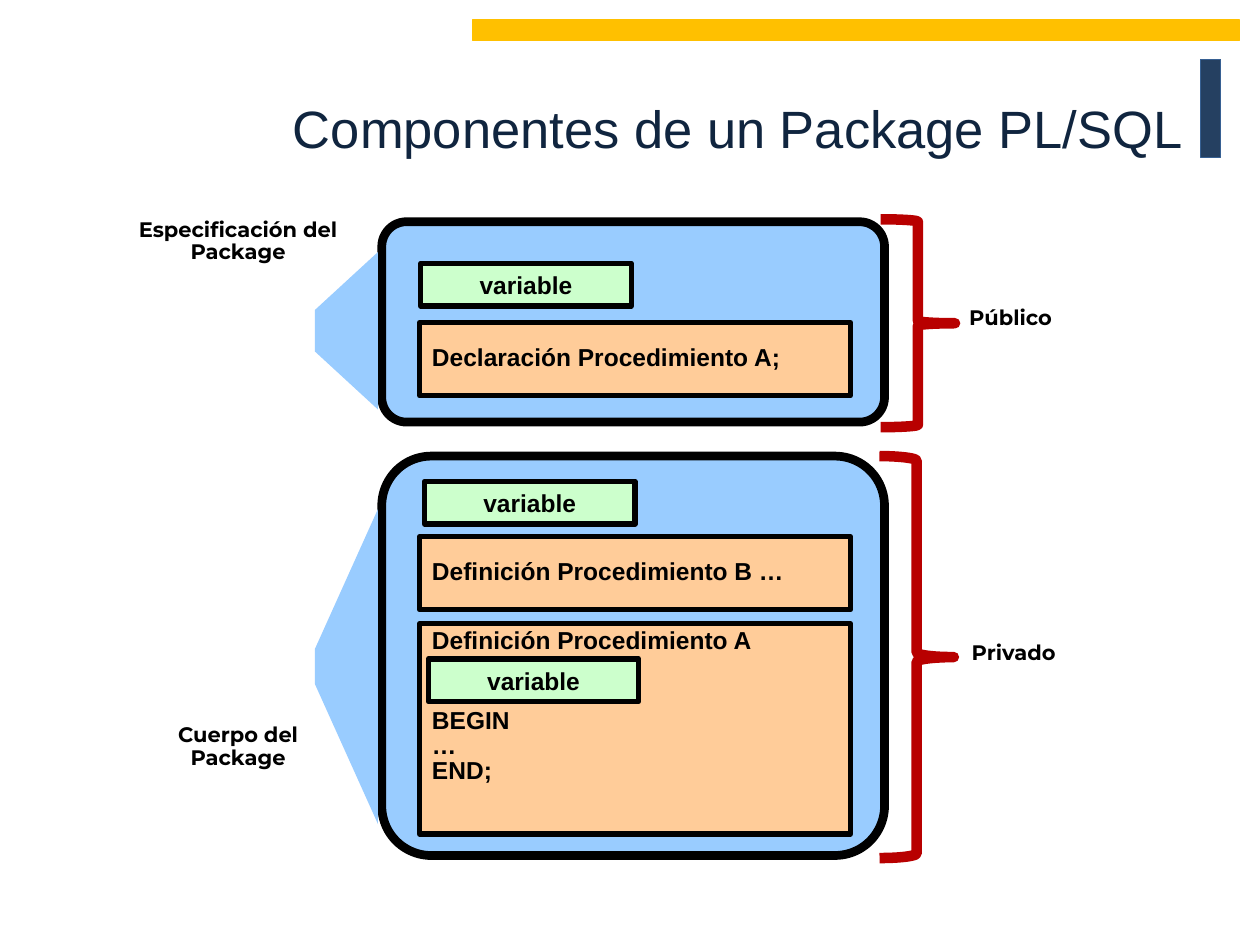
from dataclasses import dataclass

from pptx import Presentation
from pptx.dml.color import RGBColor
from pptx.enum import shapes, text
from pptx.util import Inches, Pt

COLORS = {
    "navy": "254061", "navy_line": "376092", "title": "10253F",
    "gold": "FFC000", "package": "99CCFF", "procedure": "FFCC99",
    "variable": "CCFFCC", "brace": "B80000", "black": "000000",
}
SHAPE = shapes.MSO_SHAPE
ALIGN = text.PP_ALIGN
ANCHOR = text.MSO_ANCHOR


@dataclass
class Box:
    left: float
    top: float
    width: float
    height: float

    def lengths(self):
        return [Inches(v) for v in (self.left, self.top, self.width, self.height)]


@dataclass
class Style:
    fill: str | None
    line: str
    weight: float
    kind: SHAPE = SHAPE.RECTANGLE


@dataclass
class TextStyle:
    font: str
    size: float
    align: ALIGN
    spacing: float = 1.0
    anchor: ANCHOR = ANCHOR.MIDDLE
    color: str = "black"
    bold: bool = True
    wrap: bool = True


NAVY_BAR = Style("navy", "navy_line", 0.75)
GOLD_BAR = Style("gold", "gold", 0.75)
PACKAGE = Style("package", "black", 5, SHAPE.ROUNDED_RECTANGLE)
PROCEDURE = Style("procedure", "black", 3)
VARIABLE = Style("variable", "black", 3)
BRACE = Style(None, "brace", 6, SHAPE.LEFT_BRACE)

TITLE_TEXT = TextStyle("Arial", 30, ALIGN.RIGHT, color="title", bold=False)
LABEL_TEXT = TextStyle("Montserrat", 12, ALIGN.CENTER, 0.9, ANCHOR.TOP, wrap=False)
PROCEDURE_TEXT = TextStyle("Arial", 14, ALIGN.LEFT, 0.85)
CODE_TEXT = TextStyle("Arial", 14, ALIGN.LEFT, 0.85, ANCHOR.TOP)
VARIABLE_TEXT = TextStyle("Arial", 14, ALIGN.CENTER)


def rgb(name: str) -> RGBColor:
    return RGBColor.from_string(COLORS[name])


def write(shape, lines: list[str], style: TextStyle) -> None:
    frame = shape.text_frame
    frame.text = "\n".join(lines)
    frame.word_wrap = style.wrap
    frame.vertical_anchor = style.anchor
    font_values = {"name": style.font, "size": Pt(style.size), "bold": style.bold}
    for paragraph in frame.paragraphs:
        paragraph.alignment = style.align
        paragraph.line_spacing = style.spacing
        for run in paragraph.runs:
            for name, value in font_values.items():
                setattr(run.font, name, value)
            run.font.color.rgb = rgb(style.color)


def draw(slide, box: Box, style: Style):
    shape = slide.shapes.add_shape(style.kind, *box.lengths())
    shape.shadow.inherit = False
    if style.fill:
        shape.fill.solid()
        shape.fill.fore_color.rgb = rgb(style.fill)
    else:
        shape.fill.background()
    shape.line.color.rgb = rgb(style.line)
    shape.line.width = Pt(style.weight)
    return shape


def draw_package(slide, top: float, height: float) -> None:
    draw(slide, Box(3.03, top, 3.99, height), PACKAGE).adjustments[0] = 0.124


def draw_procedure(slide, top: float, height: float, lines: list[str], style: TextStyle):
    shape = draw(slide, Box(3.33, top, 3.42, height), PROCEDURE)
    write(shape, lines, style)
    return shape


def draw_variable(slide, left: float, top: float) -> None:
    write(draw(slide, Box(left, top, 1.67, 0.34), VARIABLE), ["variable"], VARIABLE_TEXT)


def draw_label(slide, box: Box, lines: list[str]) -> None:
    write(slide.shapes.add_textbox(*box.lengths()), lines, LABEL_TEXT)


def draw_wedge(slide, top: float, inner_top: float, inner_bottom: float, bottom: float) -> None:
    builder = slide.shapes.build_freeform(Inches(3), Inches(bottom))
    points = [(2.5, inner_bottom), (2.5, inner_top), (3, top)]
    builder.add_line_segments([(Inches(x), Inches(y)) for x, y in points], close=True)
    wedge = builder.convert_to_shape()
    wedge.shadow.inherit = False
    wedge.fill.solid()
    wedge.fill.fore_color.rgb = rgb("package")
    wedge.line.fill.background()


def draw_brace(slide, box: Box, curve: float) -> None:
    brace = draw(slide, box, BRACE)
    brace.rotation = 180
    brace.adjustments[0] = curve
    brace.adjustments[1] = 0.5


def main() -> None:
    presentation = Presentation()
    presentation.slide_width = Inches(10)
    presentation.slide_height = Inches(7.5)
    slide = presentation.slides.add_slide(presentation.slide_layouts[5])

    # Title and decorative bars
    draw(slide, Box(9.53, 0.47, 0.16, 0.78), NAVY_BAR)
    draw(slide, Box(3.75, 0.16, 6.09, 0.16), GOLD_BAR)
    title = slide.shapes.title
    title.left, title.top, title.width, title.height = Box(0.97, 0.21, 8.52, 1.6).lengths()
    write(title, ["Componentes de un Package PL/SQL"], TITLE_TEXT)

    # Package specification and body
    draw_package(slide, 1.76, 1.59)
    draw_package(slide, 3.62, 3.17)
    draw_wedge(slide, 2, 2.46, 2.79, 3.25)
    draw_wedge(slide, 4.04, 5.15, 5.43, 6.54)

    # Procedures, with room for the local variable above BEGIN
    draw_procedure(slide, 2.56, 0.58, ["Declaración Procedimiento A;"], PROCEDURE_TEXT)
    draw_procedure(slide, 4.26, 0.58, ["Definición Procedimiento B …"], PROCEDURE_TEXT)
    code = draw_procedure(slide, 4.95, 1.67,
                          ["Definición Procedimiento A", "BEGIN", "…", "END;"], CODE_TEXT)
    code.text_frame.paragraphs[1].space_before = Pt(31)

    # Variables
    for left, top in [(3.34, 2.09), (3.37, 3.82), (3.4, 5.23)]:
        draw_variable(slide, left, top)

    # Labels
    draw_label(slide, Box(0.95, 1.69, 1.88, 0.46), ["Especificación del", "Package"])
    draw_label(slide, Box(1.3, 5.7, 1.18, 0.46), ["Cuerpo del", "Package"])
    draw_label(slide, Box(7.58, 2.39, 0.88, 0.28), ["Público"])
    draw_label(slide, Box(7.6, 5.05, 0.89, 0.28), ["Privado"])

    # Visibility braces
    draw_brace(slide, Box(6.99, 1.74, 0.59, 1.65), 0.033)
    draw_brace(slide, Box(6.98, 3.62, 0.59, 3.19), 0.063)

    presentation.save("out.pptx")


if __name__ == "__main__":
    main()
